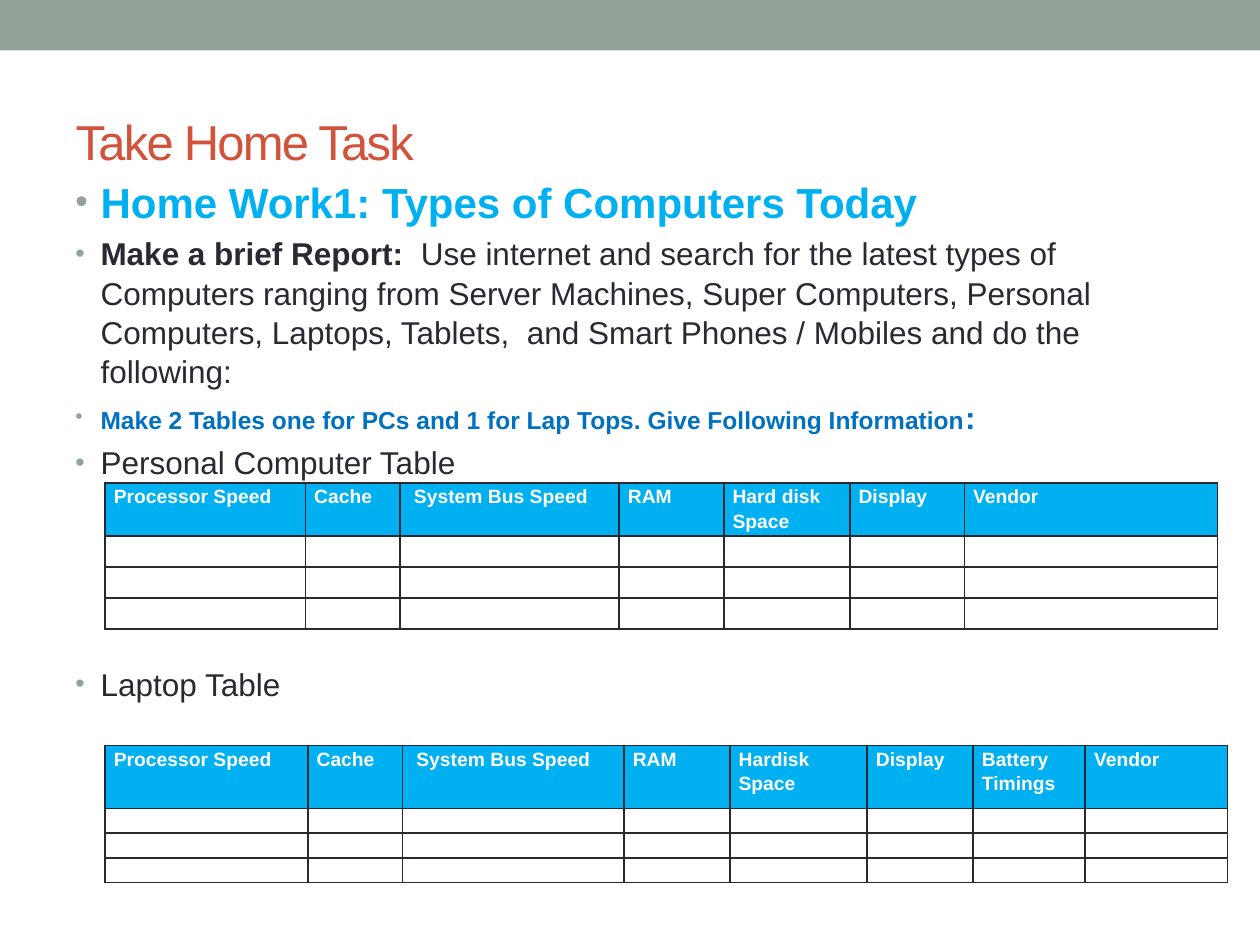
from lxml import etree
from pptx import Presentation
from pptx.dml.color import RGBColor
from pptx.enum.shapes import MSO_SHAPE
from pptx.enum.text import MSO_ANCHOR, PP_ALIGN
from pptx.oxml.ns import qn
from pptx.util import Pt

RECTANGLE = MSO_SHAPE.RECTANGLE
MIDDLE = MSO_ANCHOR.MIDDLE
LEFT = PP_ALIGN.LEFT

SAGE = RGBColor(0x93, 0xA2, 0x99)
RUST = RGBColor(0xD2, 0x53, 0x3C)
SKY = RGBColor(0x00, 0xB0, 0xF0)
BLUE = RGBColor(0x00, 0x70, 0xC0)
INK = RGBColor(0x29, 0x29, 0x34)
WHITE = RGBColor(0xFF, 0xFF, 0xFF)


class SlideBuilder:
    font = "Arial"
    bullet_indent = 14.4
    cell_margin = 5.04
    cell_size = 11

    def __init__(self, slide):
        self.slide = slide

    def format_run(self, run, size, color, bold=False):
        run.font.name = self.font
        run.font.size = Pt(size)
        run.font.bold = bold
        run.font.color.rgb = color

    def band(self, left, top, width, height, color):
        band = self.slide.shapes.add_shape(
            RECTANGLE, Pt(left), Pt(top), Pt(width), Pt(height))
        band.shadow.inherit = False
        band.fill.solid()
        band.fill.fore_color.rgb = color
        band.line.fill.background()

    def title(self, text, left, top, width, height):
        title = self.slide.shapes.title
        title.left, title.top = Pt(left), Pt(top)
        title.width, title.height = Pt(width), Pt(height)
        frame = title.text_frame
        frame.text = text
        frame.vertical_anchor = MIDDLE
        heading = frame.paragraphs[0]
        heading.alignment = LEFT
        self.format_run(heading.runs[0], 28, RUST)
        heading.runs[0].font._element.set("spc", "-100")

    def bullet(self, paragraph):
        properties = paragraph._p.get_or_add_pPr()
        indent = Pt(self.bullet_indent)
        properties.set("marL", str(indent))
        properties.set("indent", str(-indent))
        color = etree.SubElement(properties, qn("a:buClr"))
        etree.SubElement(color, qn("a:srgbClr"), val=str(SAGE))
        etree.SubElement(properties, qn("a:buSzPct"), val="85000")
        etree.SubElement(properties, qn("a:buFont"), typeface=self.font)
        etree.SubElement(properties, qn("a:buChar"), char="•")

    def bullets(self, items, left, top, width, height):
        box = self.slide.shapes.add_textbox(
            Pt(left), Pt(top), Pt(width), Pt(height))
        frame = box.text_frame
        frame.word_wrap = True
        for index, (space_before, parts) in enumerate(items):
            paragraph = frame.paragraphs[0] if index == 0 else frame.add_paragraph()
            paragraph.line_spacing = 1.04
            paragraph.space_before = Pt(space_before)
            self.bullet(paragraph)
            for text, *style in parts:
                run = paragraph.add_run()
                run.text = text
                self.format_run(run, *style)

    def borders(self, cell):
        properties = cell._tc.get_or_add_tcPr()
        for side in ("a:lnL", "a:lnR", "a:lnT", "a:lnB"):
            line = etree.SubElement(properties, qn(side), w=str(Pt(1)))
            fill = etree.SubElement(line, qn("a:solidFill"))
            etree.SubElement(fill, qn("a:srgbClr"), val=str(INK))

    def table(self, columns, left, top, header_height, row_height, blank_rows=3):
        width = sum(column_width for _, column_width in columns)
        height = header_height + blank_rows * row_height
        table = self.slide.shapes.add_table(
            blank_rows + 1, len(columns),
            Pt(left), Pt(top), Pt(width), Pt(height)).table
        for row in table.rows:
            row.height = Pt(row_height)
        table.rows[0].height = Pt(header_height)
        for column, (heading, column_width) in enumerate(columns):
            table.columns[column].width = Pt(column_width)
            table.cell(0, column).text = heading
        for cell in table.iter_cells():
            cell.margin_left = cell.margin_right = Pt(self.cell_margin)
            cell.margin_top = cell.margin_bottom = 0
            self.borders(cell)
            paragraph = cell.text_frame.paragraphs[0]
            if cell.text:
                cell.fill.solid()
                cell.fill.fore_color.rgb = SKY
                paragraph.line_spacing = 1.15
                self.format_run(paragraph.runs[0], self.cell_size, WHITE, True)
            else:
                cell.fill.background()
                etree.SubElement(paragraph._p, qn("a:endParaRPr"),
                                 sz=str(self.cell_size * 100))


def main():
    presentation = Presentation()
    presentation.slide_width, presentation.slide_height = Pt(720), Pt(540)
    builder = SlideBuilder(
        presentation.slides.add_slide(presentation.slide_layouts[5]))

    builder.band(0, 0, 720, 28.8, SAGE)
    builder.title("Take Home Task", 36, 41.76, 648, 77.76)
    builder.bullets([
        (4.8, [("Home Work1: Types of Computers Today", 24, SKY, True)]),
        (3.6, [("Make a brief Report:", 18, INK, True),
               ("  Use internet and search for the latest types of Computers "
                "ranging from Server Machines, Super Computers, Personal "
                "Computers, Laptops, Tablets,  and Smart Phones / Mobiles "
                "and do the following:", 18, INK)]),
        (3.6, [("Make 2 Tables one for PCs and 1 for Lap Tops. "
                "Give Following Information", 14, BLUE, True),
               (":", 18, BLUE, True)]),
        (3.6, [("Personal Computer Table", 18, INK)]),
        (104, [("Laptop Table", 18, INK)]),
    ], 36, 96, 648, 426)

    builder.table([
        ("Processor Speed", 114.5), ("Cache", 54),
        (" System Bus Speed", 125.3), ("RAM", 59.8),
        ("Hard disk Space", 72), ("Display", 65.5), ("Vendor", 144.7),
    ], 60, 276, 30, 17.7)
    builder.table([
        ("Processor Speed", 115.9), ("Cache", 54),
        (" System Bus Speed", 126.7), ("RAM", 60.5),
        ("Hardisk Space", 78.5), ("Display", 60.5),
        ("Battery Timings", 64.1), ("Vendor", 81.4),
    ], 60, 426, 36, 14.1)

    presentation.save("out.pptx")


if __name__ == "__main__":
    main()
